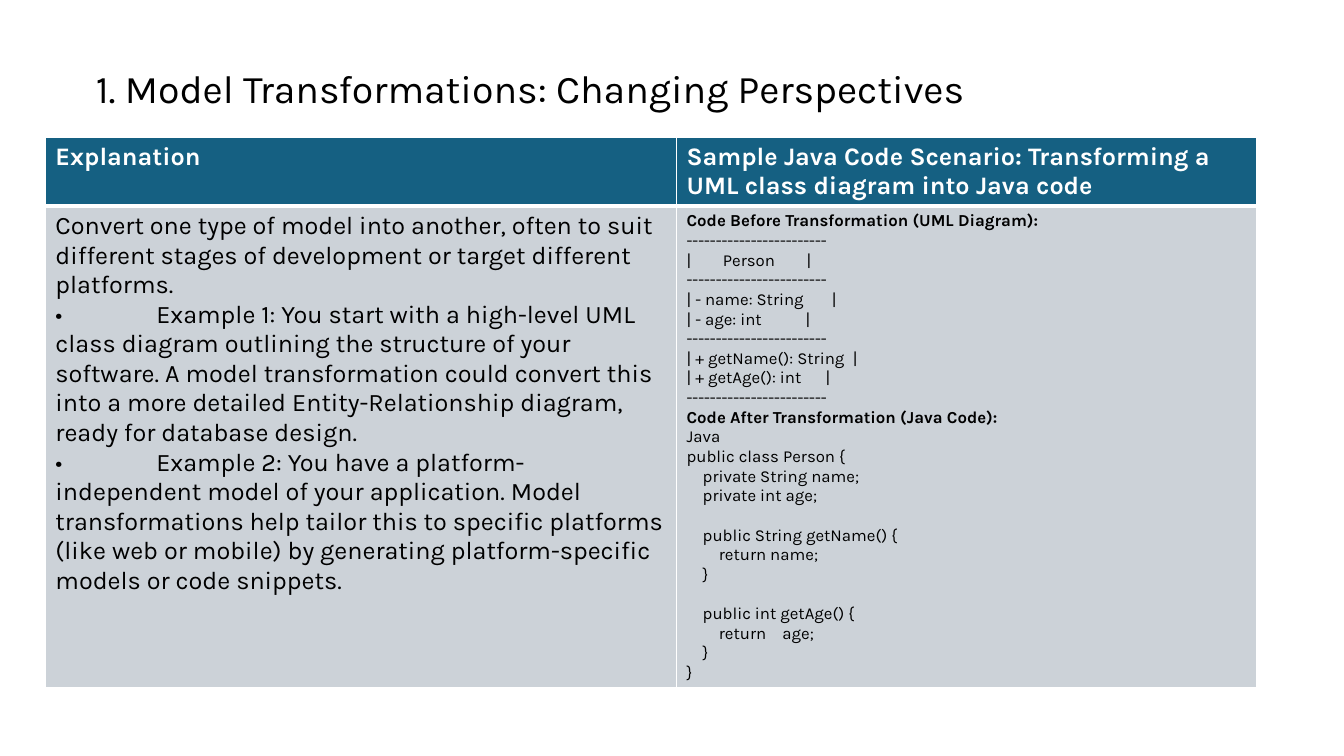
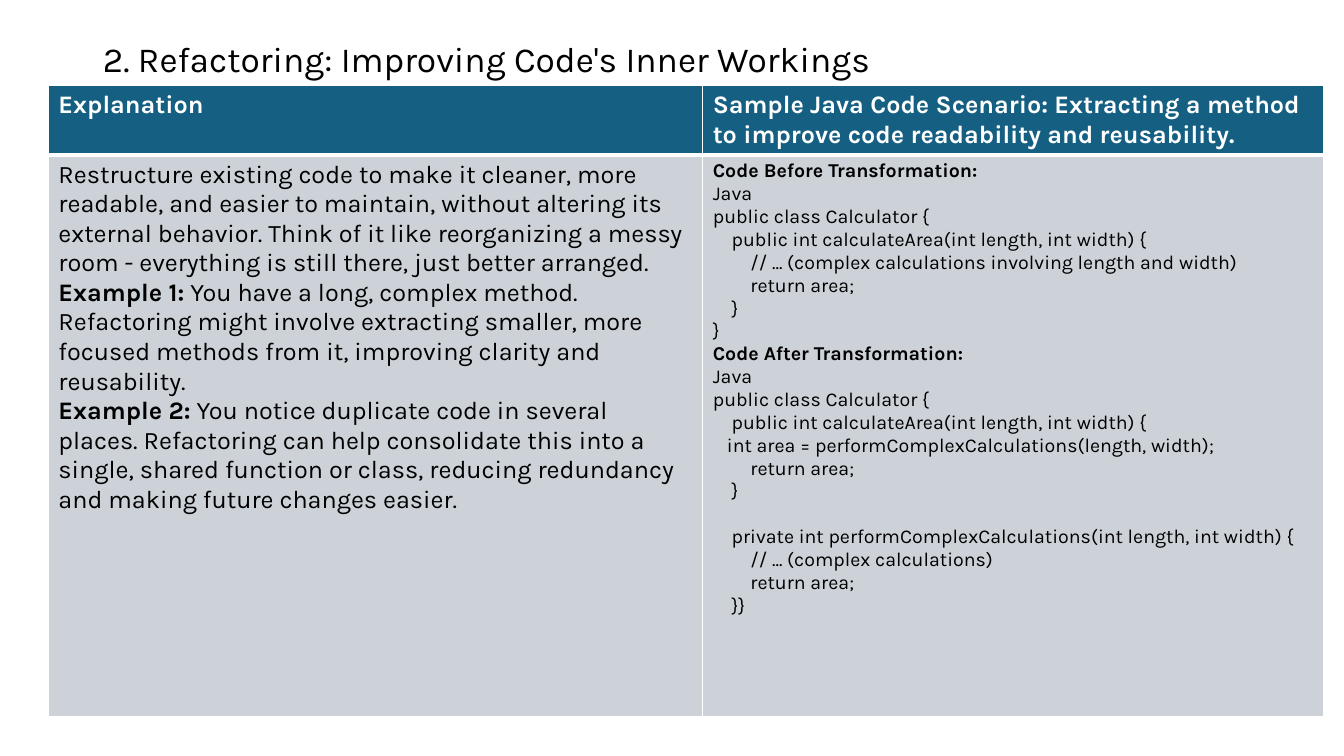
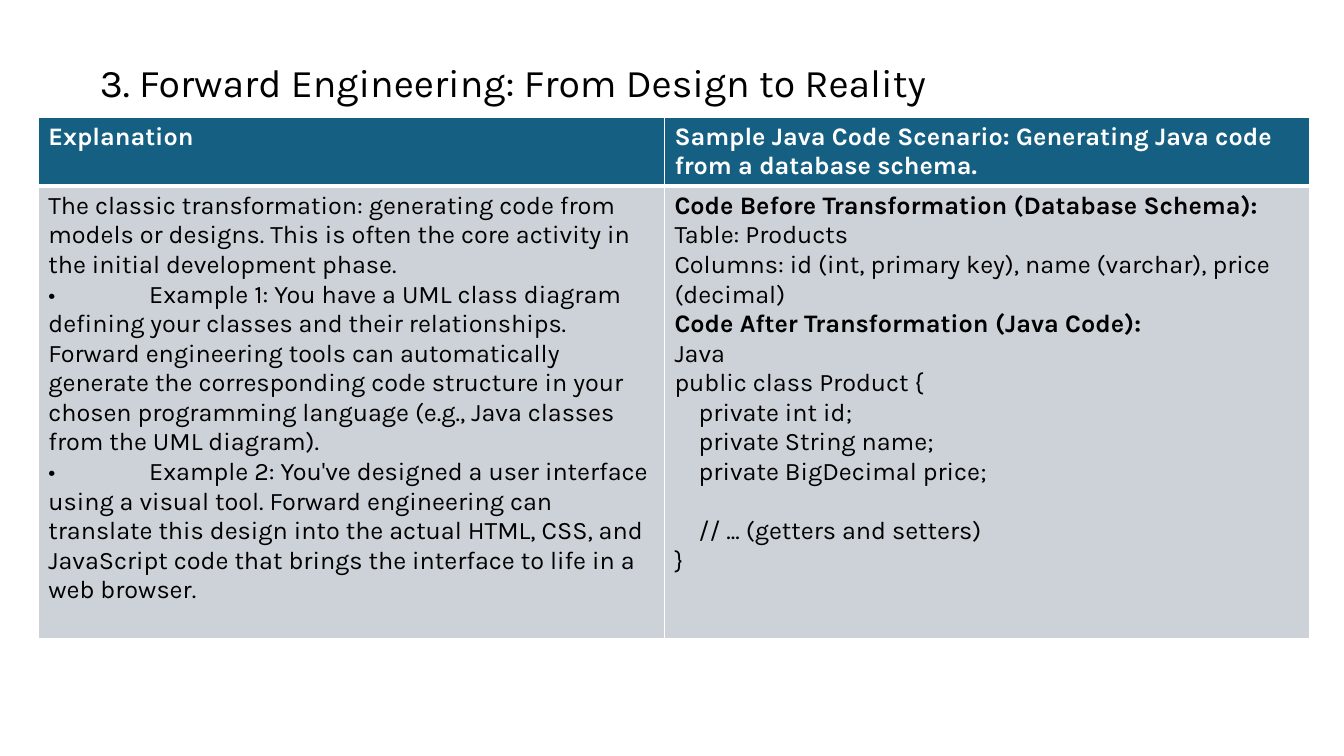
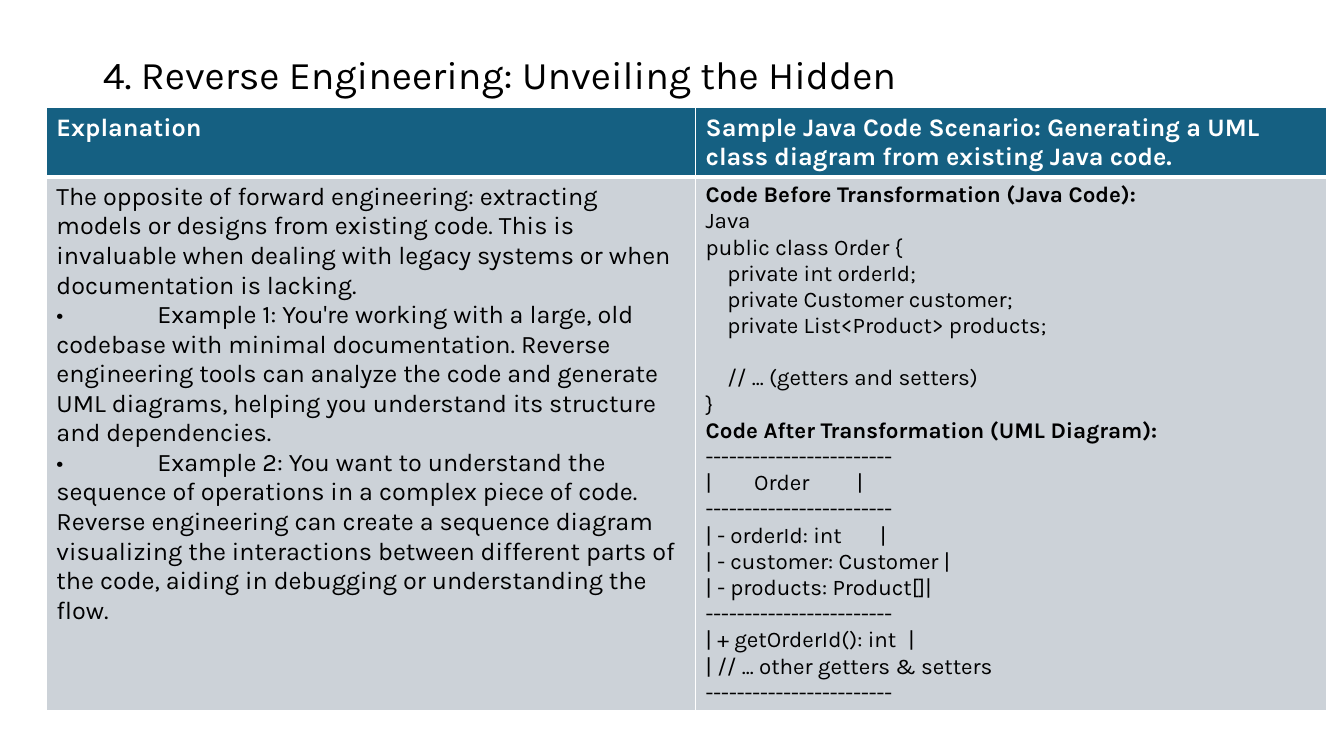
from pptx import Presentation
from pptx.dml.color import RGBColor
from pptx.enum.text import MSO_ANCHOR, PP_ALIGN
from pptx.oxml import parse_xml
from pptx.oxml.ns import nsdecls
from pptx.util import Inches, Pt

COLORS = {"head": "156082", "body": "CCD2D8", "text": "000000", "line": "FFFFFF"}
FONT = "Karla"
SIZE = 18        # table text, points
HEAD = 0.68      # header row, inches
TOP = 0.4        # top of every title, inches
SPACE = 0.24     # width of a space, share of the text size
LEAD = 1.17      # line height, share of the text size
RULE = "-" * 24

# Content: **bold**; leading spaces indent; "" leaves a gap of one line;
# a tuple is a line with tabs, followed by its tab stops in inches
SLIDES = [
    {
        "title": "1. Model Transformations: Changing Perspectives",
        "left": 0.85, "high": 1.01, "size": 28,
        "table": (0.45, 1.36, 6.81), "cols": (6.26, 5.75), "code size": 12,
        "scene": "Transforming a UML class diagram into Java code",
        "notes": [
            "Convert one type of model into another, often to suit different stages of development or target different platforms.",
            ("•\tExample 1: You start with a high-level UML class diagram outlining the structure of your software. A model transformation could convert this into a more detailed Entity-Relationship diagram, ready for database design.", 1),
            ("•\tExample 2: You have a platform-independent model of your application. Model transformations help tailor this to specific platforms (like web or mobile) by generating platform-specific models or code snippets.", 1),
        ],
        "code": [
            "**Code Before Transformation (UML Diagram):**",
            RULE,
            ("|\tPerson\t|", 0.36, 1.19),
            RULE,
            ("| - name: String\t|", 1.44),
            ("| - age: int\t|", 1.18),
            RULE,
            ("| + getName(): String\t|", 1.65),
            ("| + getAge(): int\t|", 1.38),
            RULE,
            "**Code After Transformation (Java Code):**",
            "Java",
            "public class Person {",
            "    private String name;",
            "    private int age;",
            "",
            "    public String getName() {",
            "        return name;",
            "    }",
            "",
            "    public int getAge() {",
            ("\treturn\tage;", 0.32, 0.95),
            "    }",
            "}",
        ],
    },
    {
        "title": "2. Refactoring: Improving Code's Inner Workings",
        "left": 0.92, "high": 0.41, "size": 25.2,
        "table": (0.48, 0.85, 7.1), "cols": (6.49, 6.16), "code size": 14,
        "scene": "Extracting a method to improve code readability and reusability.",
        "notes": [
            "Restructure existing code to make it cleaner, more readable, and easier to maintain, without altering its external behavior. Think of it like reorganizing a messy room - everything is still there, just better arranged.",
            "**Example 1:** You have a long, complex method. Refactoring might involve extracting smaller, more focused methods from it, improving clarity and reusability.",
            "**Example 2:** You notice duplicate code in several places. Refactoring can help consolidate this into a single, shared function or class, reducing redundancy and making future changes easier.",
        ],
        "code": [
            "**Code Before Transformation:**",
            "Java",
            "public class Calculator {",
            "    public int calculateArea(int length, int width) {",
            "        // ... (complex calculations involving length and width)",
            "        return area;",
            "    }",
            "}",
            "**Code After Transformation:**",
            "Java",
            "public class Calculator {",
            "    public int calculateArea(int length, int width) {",
            "   int area = performComplexCalculations(length, width);",
            "        return area;",
            "    }",
            "",
            "    private int performComplexCalculations(int length, int width) {",
            "        // ... (complex calculations)",
            "        return area;",
            "    }}",
        ],
    },
    {
        "title": "3. Forward Engineering: From Design to Reality",
        "left": 0.89, "high": 0.89, "size": 28,
        "table": (0.38, 1.16, 6.33), "cols": (6.21, 6.4), "code size": 18,
        "scene": "Generating Java code from a database schema.",
        "notes": [
            "The classic transformation: generating code from models or designs. This is often the core activity in the initial development phase.",
            ("•\tExample 1: You have a UML class diagram defining your classes and their relationships. Forward engineering tools can automatically generate the corresponding code structure in your chosen programming language (e.g., Java classes from the UML diagram).", 1),
            ("•\tExample 2: You've designed a user interface using a visual tool. Forward engineering can translate this design into the actual HTML, CSS, and JavaScript code that brings the interface to life in a web browser.", 1),
        ],
        "code": [
            "**Code Before Transformation (Database Schema):**",
            "Table: Products",
            "Columns: id (int, primary key), name (varchar), price (decimal)",
            "**Code After Transformation (Java Code):**",
            "Java",
            "public class Product {",
            "    private int id;",
            "    private String name;",
            "    private BigDecimal price;",
            "",
            "    // ... (getters and setters)",
            "}",
        ],
    },
    {
        "title": "4. Reverse Engineering: Unveiling the Hidden",
        "left": 0.92, "high": 0.72, "size": 28,
        "table": (0.46, 1.07, 7.04), "cols": (6.44, 6.26), "code size": 16,
        "scene": "Generating a UML class diagram from existing Java code.",
        "notes": [
            "The opposite of forward engineering: extracting models or designs from existing code. This is invaluable when dealing with legacy systems or when documentation is lacking.",
            ("•\tExample 1: You're working with a large, old codebase with minimal documentation. Reverse engineering tools can analyze the code and generate UML diagrams, helping you understand its structure and dependencies.", 1),
            ("•\tExample 2: You want to understand the sequence of operations in a complex piece of code. Reverse engineering can create a sequence diagram visualizing the interactions between different parts of the code, aiding in debugging or understanding the flow.", 1),
        ],
        "code": [
            "**Code Before Transformation (Java Code):**",
            "Java",
            "public class Order {",
            "    private int orderId;",
            "    private Customer customer;",
            "    private List<Product> products;",
            "",
            "    // ... (getters and setters)",
            "}",
            "**Code After Transformation (UML Diagram):**",
            RULE,
            ("|\tOrder\t|", 0.48, 1.5),
            RULE,
            ("| - orderId: int\t|", 1.73),
            "| - customer: Customer |",
            "| - products: Product[]|",
            RULE,
            ("| + getOrderId(): int\t|", 2.01),
            "| // ... other getters & setters",
            RULE,
        ],
    },
]


def add_run(para, text, size, color, bold=False):
    run = para.add_run()
    run.text = text
    font = run.font
    font.name, font.size, font.bold = FONT, Pt(size), bold
    font.color.rgb = RGBColor.from_string(COLORS[color])


def add_tabs(props, stops):
    tabs = "".join(f'<a:tab pos="{Inches(stop)}" algn="l"/>' for stop in stops)
    props.append(parse_xml(f'<a:tabLst {nsdecls("a")}>{tabs}</a:tabLst>'))


def write(frame, lines, size, color):
    para, gap = frame.paragraphs[0], False
    for index, line in enumerate(lines):
        if not line:
            gap = True
            continue
        text, *stops = line if isinstance(line, tuple) else (line,)
        if index:
            para = frame.add_paragraph()
        if gap:
            para.space_before, gap = Pt(LEAD * size), False
        props = para._p.get_or_add_pPr()
        bare = text.lstrip(" ")
        if len(bare) < len(text):
            indent = (len(text) - len(bare)) * SPACE * size
            props.set("marL", str(Pt(indent)))
        if stops:
            add_tabs(props, stops)
        for part, piece in enumerate(bare.split("**")):
            if piece:
                add_run(para, piece, size, color, part % 2 == 1)


def style(cell, fill, edges):
    cell.fill.solid()
    cell.fill.fore_color.rgb = RGBColor.from_string(COLORS[fill])
    props = cell._tc.get_or_add_tcPr()
    for spot, (side, width) in enumerate(edges.items()):
        props.insert(spot, parse_xml(
            f'<a:ln{side} {nsdecls("a")} w="{Pt(width)}"><a:solidFill>'
            f'<a:srgbClr val="{COLORS["line"]}"/></a:solidFill></a:ln{side}>'))


def add_title(slide, item):
    title = slide.shapes.title
    title.left, title.top = Inches(item["left"]), Inches(TOP)
    title.width, title.height = Inches(12.42 - item["left"]), Inches(item["high"])
    frame = title.text_frame
    frame.vertical_anchor = MSO_ANCHOR.MIDDLE
    para = frame.paragraphs[0]
    para.alignment, para.line_spacing = PP_ALIGN.LEFT, 0.9
    add_run(para, item["title"], item["size"], "text")


def add_grid(slide, item):
    left, top, bottom = item["table"]
    cols, rows = item["cols"], (HEAD, bottom - top - HEAD)
    grid = slide.shapes.add_table(
        2, 2, Inches(left), Inches(top), Inches(sum(cols)), Inches(sum(rows))).table
    for col, width in zip(grid.columns, cols):
        col.width = Inches(width)
    for row, height in zip(grid.rows, rows):
        row.height = Inches(height)
    heads = ("Explanation", "Sample Java Code Scenario: " + item["scene"])
    bodies = ((item["notes"], SIZE), (item["code"], item["code size"]))
    for col, (head, (lines, size)) in enumerate(zip(heads, bodies)):
        cell = grid.cell(0, col)
        style(cell, "head", {"L": 1, "R": 1, "T": 1, "B": 3})
        write(cell.text_frame, [f"**{head}**"], SIZE, "line")
        cell = grid.cell(1, col)
        style(cell, "body", {"L": 1, "R": 1, "T": 3, "B": 1})
        write(cell.text_frame, lines, size, "text")


def main():
    deck = Presentation()
    deck.slide_width, deck.slide_height = Inches(13.33), Inches(7.5)
    for item in SLIDES:
        slide = deck.slides.add_slide(deck.slide_layouts[5])
        add_title(slide, item)
        add_grid(slide, item)
    deck.save("out.pptx")


if __name__ == "__main__":
    main()
